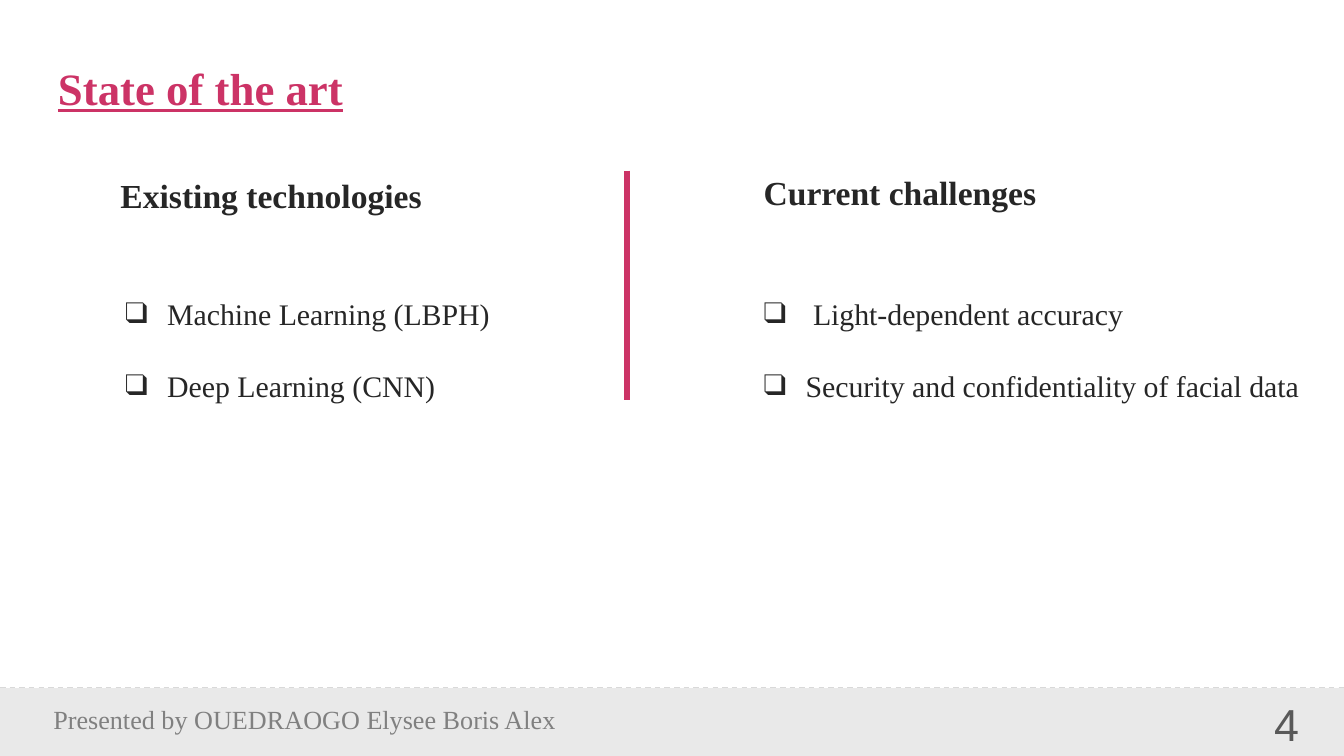
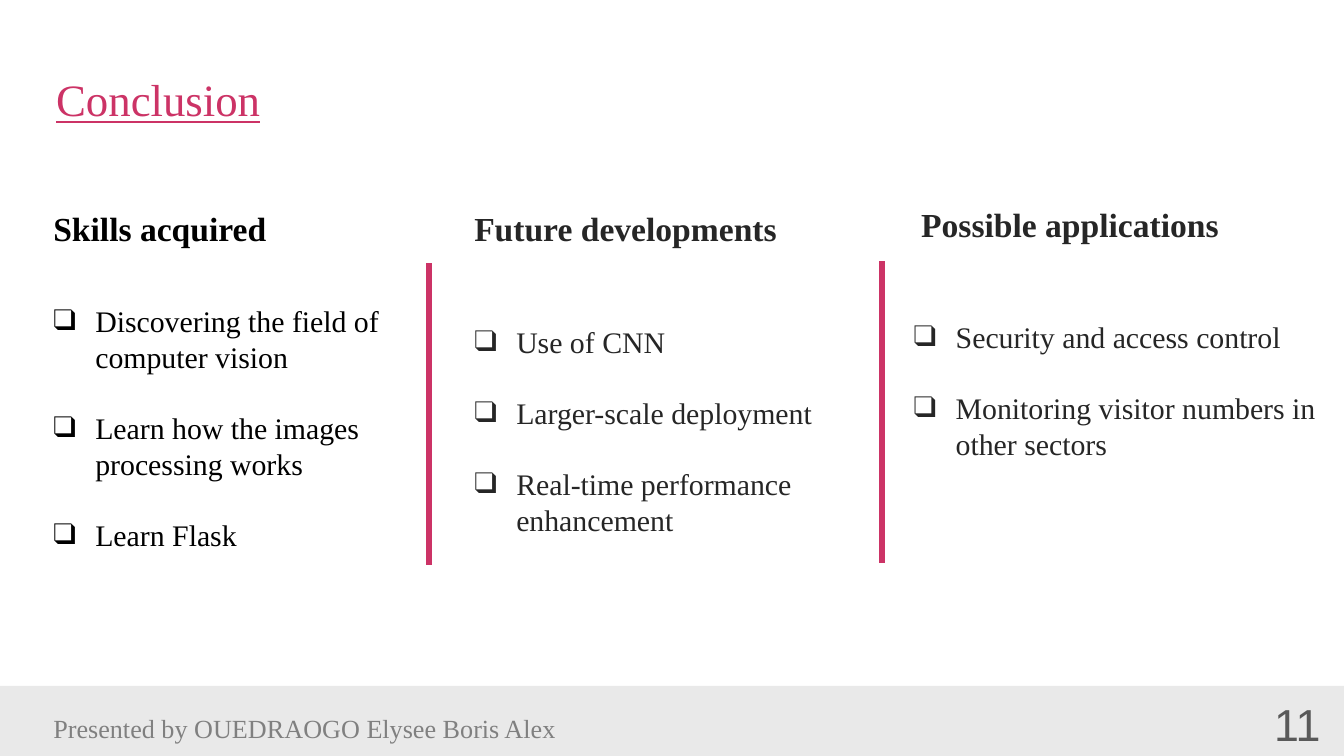
from lxml.etree import SubElement
from pptx import Presentation
from pptx.dml.color import RGBColor
from pptx.enum.dml import MSO_LINE
from pptx.enum.shapes import MSO_CONNECTOR, MSO_SHAPE
from pptx.enum.text import MSO_AUTO_SIZE
from pptx.oxml.ns import qn
from pptx.util import Pt

COLORS = {
    "accent": "CC3366", "dark": "262626", "black": "000000", "grey": "808080",
    "number": "595959", "band": "E9E9E9", "rule": "D9D9D9",
}
SERIF, SANS = "Times New Roman", "Arial"
WIDTH, HEIGHT = 720, 405
BAND_HEIGHT = 38
BULLET_INDENT = 22.5
ITEM_GAP = 19
HEADING_GAP = 40
PRESENTER = "Presented by OUEDRAOGO Elysee Boris Alex"

# Content: boxes are (left, top, width, height), dividers (x, top, bottom)
SLIDES = [
    {
        "title": "State of the art", "title_box": (24, 29, 186, 36), "title_bold": True,
        "number": "4", "band_top": 368.6, "presenter_top": 373.5,
        "blocks": [
            {"box": (57.5, 90, 180, 29), "heading": "Existing technologies"},
            {"box": (60, 155, 360, 65),
             "items": ["Machine Learning (LBPH)", "Deep Learning (CNN)"]},
            {"box": (402, 88.5, 180, 29), "heading": "Current challenges"},
            {"box": (402, 155, 318, 65),
             "items": [" Light-dependent accuracy",
                       "Security and confidentiality of facial data"]},
        ],
        "dividers": [(336, 91.5, 214.5)],
    },
    {
        "title": "Conclusion", "title_box": (23, 35, 199, 38), "title_bold": False,
        "number": "11", "band_top": 367.5, "presenter_top": 378,
        "blocks": [
            {"box": (21.5, 108, 136, 29), "heading": "Skills acquired", "color": "black"},
            {"box": (21.5, 158.5, 217.5, 141), "color": "black",
             "items": ["Discovering the field of computer vision",
                       "Learn how the images processing works", "Learn Flask"]},
            {"box": (247, 108, 205, 184), "heading": "Future developments",
             "items": ["Use of CNN", "Larger-scale deployment",
                       "Real-time performance enhancement"]},
            {"box": (482.4, 105.5, 233.5, 146), "heading": "Possible applications",
             "heading_indent": 4,
             "items": ["Security and access control",
                       "Monitoring visitor numbers in other sectors"]},
        ],
        "dividers": [(230, 141, 302.5), (472.5, 140, 301.5)],
    },
]


def rgb(name):
    return RGBColor.from_string(COLORS[name])


def style(paragraph, size, color, font=SERIF, bold=False, underline=False):
    paragraph.font.name = font
    paragraph.font.size = Pt(size)
    paragraph.font.bold = bold
    paragraph.font.underline = underline
    paragraph.font.color.rgb = rgb(color)


def add_frame(slide, box):
    frame = slide.shapes.add_textbox(*map(Pt, box)).text_frame
    frame.word_wrap = True
    frame.auto_size = MSO_AUTO_SIZE.SHAPE_TO_FIT_TEXT
    return frame


def add_label(slide, box, text, size, color, **options):
    paragraph = add_frame(slide, box).paragraphs[0]
    paragraph.text = text
    style(paragraph, size, color, **options)


def set_indent(paragraph, left, first=0):
    properties = paragraph._p.get_or_add_pPr()
    properties.set("marL", str(Pt(left)))
    properties.set("indent", str(Pt(first)))
    return properties


def add_bullet(paragraph, color):
    properties = set_indent(paragraph, BULLET_INDENT, -BULLET_INDENT)
    bullet_color = SubElement(properties, qn("a:buClr"))
    SubElement(bullet_color, qn("a:srgbClr"), val=COLORS[color])
    SubElement(properties, qn("a:buFont"), typeface=SERIF)
    SubElement(properties, qn("a:buChar"), char="❑")


def add_block(slide, box, heading=None, items=(), color="dark", heading_indent=0):
    frame = add_frame(slide, box)
    paragraph = frame.paragraphs[0]
    if heading:
        paragraph.text = heading
        set_indent(paragraph, heading_indent)
        style(paragraph, 18, color, bold=True)
    for index, item in enumerate(items):
        if heading or index:
            paragraph = frame.add_paragraph()
            paragraph.space_before = Pt(ITEM_GAP if index else HEADING_GAP)
        paragraph.text = item
        add_bullet(paragraph, color)
        style(paragraph, 16, color)


def add_line(slide, start, end, color, width):
    line = slide.shapes.add_connector(MSO_CONNECTOR.STRAIGHT, *map(Pt, start + end))
    line.line.color.rgb = rgb(color)
    line.line.width = Pt(width)
    SubElement(line._element.spPr, qn("a:effectLst"))
    return line


def add_footer(slide, content):
    rule = add_line(slide, (0, 368.6), (WIDTH, 368.6), "rule", 0.75)
    rule.line.dash_style = MSO_LINE.DASH
    band = slide.shapes.add_shape(
        MSO_SHAPE.RECTANGLE, 0, Pt(content["band_top"]), Pt(WIDTH), Pt(BAND_HEIGHT))
    band.shadow.inherit = False
    band.fill.solid()
    band.fill.fore_color.rgb = rgb("band")
    band.line.fill.background()
    add_label(slide, (21.5, content["presenter_top"], 294, 24), PRESENTER, 14, "grey")
    add_label(slide, (675.5, 369.5, 44.5, 36), content["number"], 24, "number", font=SANS)


def build_slide(presentation, content):
    slide = presentation.slides.add_slide(presentation.slide_layouts[6])
    add_footer(slide, content)
    add_label(slide, content["title_box"], content["title"], 24, "accent",
              bold=content["title_bold"], underline=True)
    for block in content["blocks"]:
        add_block(slide, **block)
    for x, top, bottom in content["dividers"]:
        add_line(slide, (x, top), (x, bottom), "accent", 3)


def main():
    presentation = Presentation()
    presentation.slide_width, presentation.slide_height = Pt(WIDTH), Pt(HEIGHT)
    for content in SLIDES:
        build_slide(presentation, content)
    presentation.save("out.pptx")


if __name__ == "__main__":
    main()
